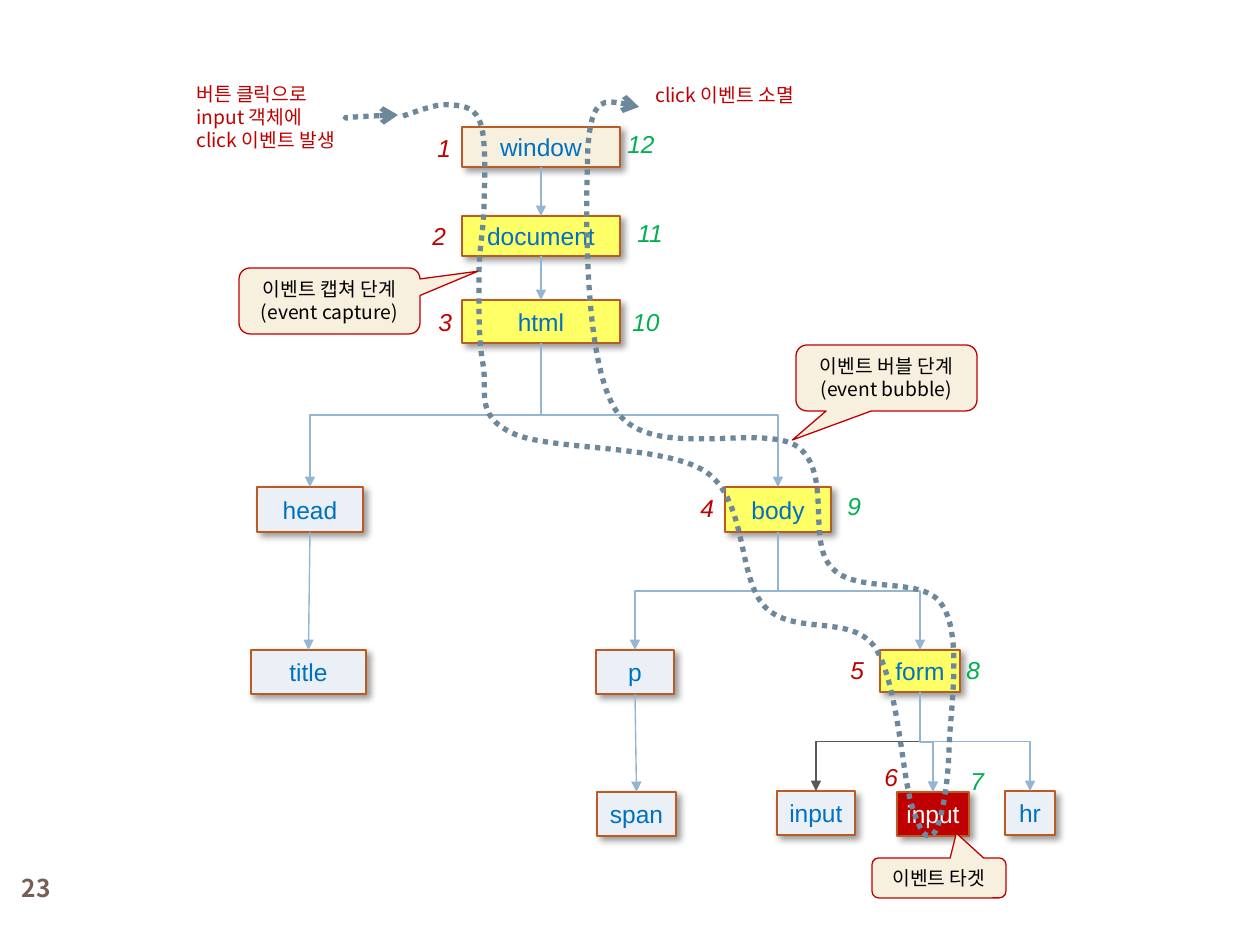
import pptx
import pptx.util
import pptx.dml.color
import pptx.enum.dml
import pptx.enum.shapes
import pptx.enum.text
import pptx.oxml
import pptx.oxml.ns

PX = 914400 / 126
ARIAL = "Arial"
KOREAN = "Noto Sans CJK KR"
RED = "C00000"
GREEN = "00B050"
CREAM = "F7F0DE"
YELLOW = "FFFF66"
PALE = "EAF0F6"
BLUE = "0070C0"
WHITE = "FFFFFF"
SKY = "94B6D2"
GRAY = "595959"
SLATE = "6D879B"


def emu(px):
    return round(px * PX)


def color(value):
    return pptx.dml.color.RGBColor.from_string(value)


def element(xml):
    name, rest = xml.split(" ", 1)
    return pptx.oxml.parse_xml(f"<{name} {pptx.oxml.ns.nsdecls('a')} {rest}")


def write_text(frame, text, font=ARIAL, size=14, fill=BLUE, bold=False, italic=False,
               align="LEFT", anchor="TOP", grow=False):
    frame.word_wrap = False
    frame.vertical_anchor = getattr(pptx.enum.text.MSO_ANCHOR, anchor)
    if grow:
        frame.auto_size = pptx.enum.text.MSO_AUTO_SIZE.SHAPE_TO_FIT_TEXT
    for index, line in enumerate(text.split("\n")):
        para = frame.add_paragraph() if index else frame.paragraphs[0]
        para.alignment = getattr(pptx.enum.text.PP_ALIGN, align)
        span = para.add_run()
        span.text = line
        span.font.size = pptx.util.Pt(size)
        span.font.bold = bold
        span.font.italic = italic
        span.font.color.rgb = color(fill)
        span.font.name = font
        span._r.get_or_add_rPr().append(element(f'a:ea typeface="{font}"/>'))


class Diagram:
    def __init__(self, page):
        self.page = page
        self.shapes = page.shapes

    def label(self, text, x, y, width, height, **style):
        box = self.shapes.add_textbox(emu(x), emu(y), emu(width), emu(height))
        write_text(box.text_frame, text, **style)

    def filled(self, kind, x, y, width, height, fill, line):
        box = self.shapes.add_shape(kind, emu(x), emu(y), emu(width), emu(height))
        box.shadow.inherit = False
        box.fill.solid()
        box.fill.fore_color.rgb = color(fill)
        box.line.color.rgb = color(line)
        box.line.width = pptx.util.Pt(0.75)
        return box

    def node(self, text, x, y, width, height, fill=PALE, ink=BLUE):
        kind = pptx.enum.shapes.MSO_SHAPE.RECTANGLE
        box = self.filled(kind, x, y, width, height, fill, "B95B22")
        box._element.spPr.find(pptx.oxml.ns.qn("a:effectLst")).append(element(
            'a:outerShdw blurRad="50800" dist="38100" dir="2700000" algn="tl" rotWithShape="0">'
            '<a:srgbClr val="000000"><a:alpha val="40000"/></a:srgbClr></a:outerShdw>'))
        frame = box.text_frame
        frame.margin_left = frame.margin_right = emu(5)
        frame.margin_top = frame.margin_bottom = emu(6)
        write_text(frame, text, fill=ink, align="CENTER", anchor="MIDDLE")
        return box

    def callout(self, text, x, y, width, height, tip):
        kind = pptx.enum.shapes.MSO_SHAPE.ROUNDED_RECTANGULAR_CALLOUT
        box = self.filled(kind, x, y, width, height, CREAM, RED)
        for index, value in enumerate(tip):
            box.adjustments[index] = value
        write_text(box.text_frame, text, font=KOREAN, size=11, fill="000000",
                   align="CENTER", grow=True)

    def stroke(self, line, ink, width, head):
        line.color.rgb = color(ink)
        line.width = pptx.util.Pt(width)
        line._get_or_add_ln().append(element(f'a:tailEnd type="{head}"/>'))

    def link(self, parent, child, bent=False, ink=SKY):
        kinds = pptx.enum.shapes.MSO_CONNECTOR
        arrow = self.shapes.add_connector(kinds.ELBOW if bent else kinds.STRAIGHT, 0, 0, 0, 0)
        arrow.begin_connect(parent, 2)
        arrow.end_connect(child, 0)
        if bent:
            self.turn_downward(arrow, parent, child)
        self.stroke(arrow.line, ink, 0.79, "triangle")
        arrow._element.spPr.append(element("a:effectLst />"))

    def turn_downward(self, arrow, parent, child):
        start = parent.left + parent.width // 2
        end = child.left + child.width // 2
        top = parent.top + parent.height
        drop, span = child.top - top, abs(end - start)
        arrow.left = (start + end - drop) // 2
        arrow.top = top + (drop - span) // 2
        arrow.width, arrow.height = drop, span
        frame = arrow._element.spPr.find(pptx.oxml.ns.qn("a:xfrm"))
        rightward = end > start
        frame.set("rot", str((270 if rightward else 90) * 60000))
        frame.set("flipH", "1" if rightward else "0")
        frame.set("flipV", "0")

    def curve(self, start, *controls):
        builder = self.shapes.build_freeform(*start, scale=PX)
        builder.add_line_segments(controls, close=False)
        trail = builder.convert_to_shape()
        trail.shadow.inherit = False
        trail.fill.background()
        trail.line.dash_style = pptx.enum.dml.MSO_LINE.ROUND_DOT
        self.stroke(trail.line, SLATE, 3, "arrow")
        route = next(trail._element.iter(pptx.oxml.ns.qn("a:path")))
        lines = route.findall(pptx.oxml.ns.qn("a:lnTo"))
        for index in range(0, len(lines), 3):
            bend = element("a:cubicBezTo />")
            for segment in lines[index:index + 3]:
                bend.append(segment[0])
                route.remove(segment)
            route.append(bend)


def main():
    deck = pptx.Presentation()
    deck.slide_width, deck.slide_height = emu(1260), emu(945)
    diagram = Diagram(deck.slides.add_slide(deck.slide_layouts[6]))

    diagram.label("23", 0, 861, 73, 53, font=KOREAN, fill="775F55", bold=True,
                  align="CENTER", anchor="MIDDLE")

    window = diagram.node("window", 462, 127, 158, 40, CREAM)
    document = diagram.node("document", 462, 216, 158, 40, YELLOW)
    html = diagram.node("html", 462, 300, 158, 43, YELLOW)
    head = diagram.node("head", 257, 487, 106, 45)
    body = diagram.node("body", 725, 487, 106, 45, YELLOW)
    title = diagram.node("title", 251, 650, 115, 44)
    paragraph = diagram.node("p", 596, 650, 78, 44)
    form = diagram.node("form", 880, 650, 80, 42, YELLOW)
    span = diagram.node("span", 597, 792, 79, 44)
    sibling = diagram.node("input", 777, 791, 78, 44)
    target = diagram.node("input", 897, 792, 72, 44, RED, WHITE)
    rule = diagram.node("hr", 1005, 791, 50, 44)

    for parent, child in ((window, document), (document, html), (head, title),
                          (paragraph, span)):
        diagram.link(parent, child)
    for parent, child, ink in ((html, head, SKY), (html, body, SKY), (body, paragraph, SKY),
                               (body, form, SKY), (form, sibling, GRAY),
                               (form, target, SKY), (form, rule, SKY)):
        diagram.link(parent, child, bent=True, ink=ink)

    diagram.curve(
        (403, 116), (421, 110), (438, 103), (452, 105), (465, 106), (476, 108), (481, 125),
        (486, 141), (485, 179), (484, 204), (484, 229), (479, 248), (479, 275),
        (479, 301), (478, 338), (483, 364), (488, 391), (474, 415), (512, 433),
        (548, 451), (664, 444), (706, 472), (748, 501), (737, 578), (765, 607),
        (794, 636), (849, 614), (874, 646), (898, 680), (902, 776), (912, 806),
        (922, 838), (928, 840), (935, 832), (941, 822), (948, 788), (949, 750),
        (950, 712), (963, 635), (942, 605), (924, 575), (856, 595), (832, 568),
        (806, 542), (833, 474), (798, 447), (762, 422), (653, 462), (617, 412),
        (582, 362), (586, 197), (588, 146), (592, 95), (616, 101), (639, 107))
    diagram.curve((348, 118), (336, 118), (390, 115), (398, 115))

    for text, x, y, width, height in (
            ("버튼 클릭으로\ninput 객체에\nclick 이벤트 발생", 184, 76, 175, 83),
            ("click 이벤트 소멸", 643, 77, 175, 37)):
        diagram.label(text, x, y, width, height, font=KOREAN, size=11, fill=RED, grow=True)

    steps = ((425, 127), (420, 215), (426, 301), (688, 487), (838, 649), (872, 756),
             (958, 760), (954, 649), (835, 485), (620, 301), (625, 212), (615, 123))
    for number, (x, y) in enumerate(steps, 1):
        diagram.label(str(number), x, y, 39 if number < 10 else 53, 43,
                      fill=RED if number <= 6 else GREEN, italic=True, grow=True)

    diagram.callout("이벤트 캡쳐 단계\n(event capture)", 239, 268, 181, 66, (0.82, -0.45))
    diagram.callout("이벤트 버블 단계\n(event bubble)", 796, 345, 181, 66, (-0.52, 0.94))
    diagram.callout("이벤트 타겟", 872, 858, 134, 40, (0.13, -1.12))

    deck.save("out.pptx")


if __name__ == "__main__":
    main()
